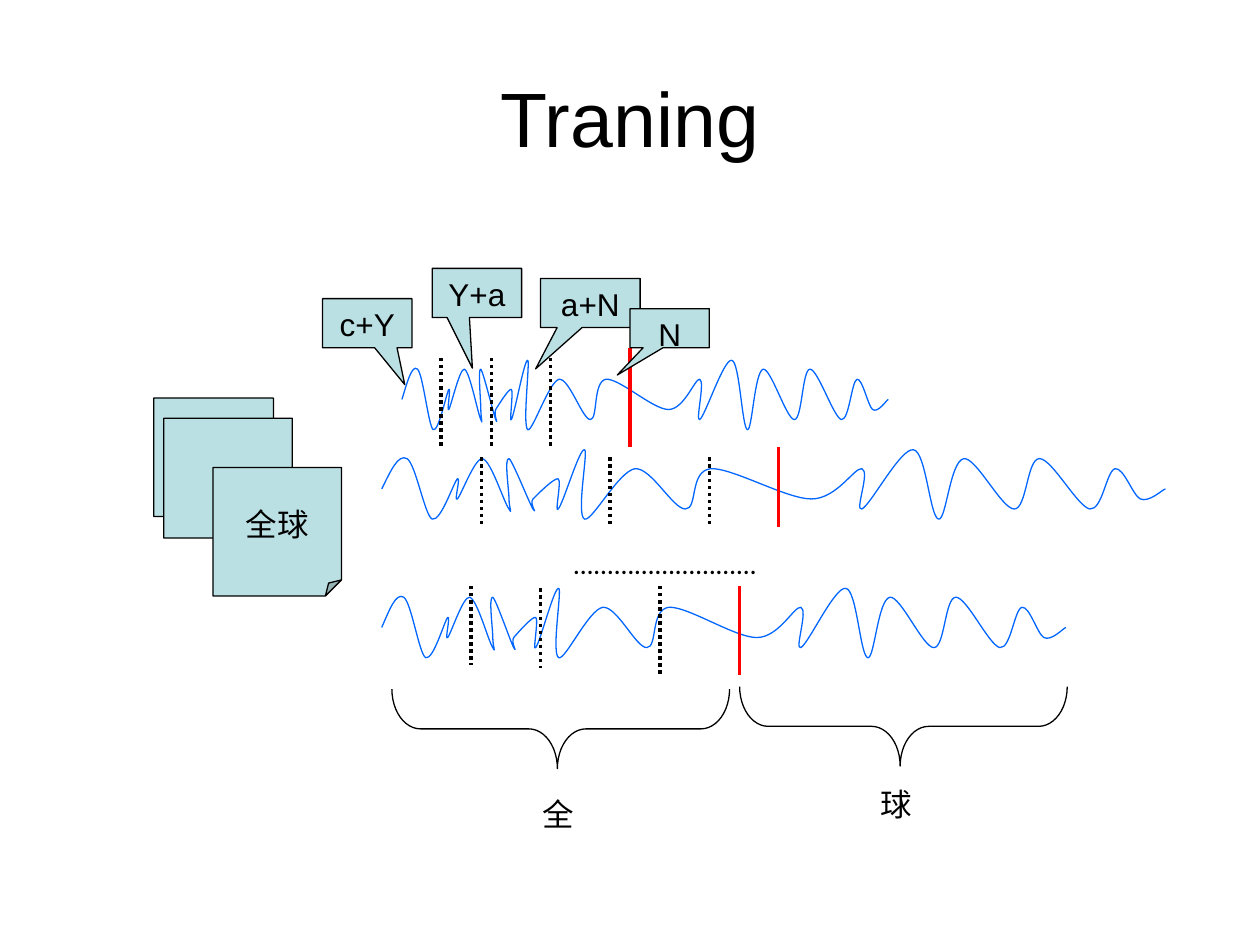
from lxml import etree
from pptx import Presentation
from pptx import util as u
from pptx.dml.color import RGBColor
from pptx.enum import dml, shapes, text
from pptx.oxml.ns import qn

BLACK, RED, BLUE, PALE = "000000", "FF0000", "0066FF", "BBE0E3"
WAVE_WIDTH = 6.22
WAVE_START = (0, 0.33)
WAVE_CURVES = [
    (0.07, 0.19, 0.13, 0.05, 0.2, 0.09), (0.27, 0.13, 0.34, 0.54, 0.4, 0.57),
    (0.47, 0.59, 0.57, 0.28, 0.6, 0.25), (0.63, 0.23, 0.57, 0.44, 0.6, 0.41),
    (0.63, 0.38, 0.74, 0.08, 0.8, 0.09), (0.87, 0.11, 0.97, 0.44, 1.01, 0.49),
    (1.04, 0.54, 1.01, 0.48, 1.01, 0.41), (1.01, 0.34, 0.97, 0.08, 1.01, 0.09),
    (1.04, 0.11, 1.17, 0.44, 1.2, 0.49), (1.24, 0.54, 1.17, 0.45, 1.2, 0.41),
    (1.24, 0.37, 1.37, 0.24, 1.4, 0.25), (1.43, 0.26, 1.37, 0.53, 1.4, 0.49),
    (1.44, 0.45, 1.57, 0, 1.61, 0.02), (1.64, 0.03, 1.54, 0.54, 1.61, 0.57),
    (1.67, 0.59, 1.88, 0.19, 2.01, 0.17), (2.14, 0.16, 2.31, 0.49, 2.41, 0.49),
    (2.51, 0.49, 2.44, 0.19, 2.61, 0.17), (2.78, 0.16, 3.21, 0.41, 3.41, 0.41),
    (3.61, 0.41, 3.75, 0.16, 3.81, 0.17), (3.88, 0.19, 3.75, 0.51, 3.81, 0.49),
    (3.88, 0.46, 4.12, 0, 4.22, 0.02), (4.32, 0.03, 4.35, 0.56, 4.42, 0.57),
    (4.48, 0.58, 4.51, 0.11, 4.62, 0.09), (4.72, 0.08, 4.92, 0.49, 5.02, 0.49),
    (5.12, 0.49, 5.12, 0.09, 5.22, 0.09), (5.32, 0.09, 5.52, 0.47, 5.62, 0.49),
    (5.72, 0.5, 5.75, 0.19, 5.82, 0.17), (5.89, 0.16, 5.96, 0.38, 6.02, 0.41),
    (6.09, 0.44, 6.19, 0.34, 6.22, 0.33),
]


def color(hex_value):
    """Turn a hex string into a colour."""
    return RGBColor.from_string(hex_value)


def write(frame, words, size=18, font="Arial", align=text.PP_ALIGN.CENTER,
          anchor=text.MSO_ANCHOR.TOP, wrap=True):
    """Put one run of text into a text frame."""
    frame.word_wrap = wrap
    frame.vertical_anchor = anchor
    paragraph = frame.paragraphs[0]
    paragraph.alignment = align
    run = paragraph.add_run()
    run.text = words
    run.font.size = u.Pt(size)
    run.font.name = font
    run.font.color.rgb = color(BLACK)


def add_label(slide, box, words, **style):
    """Add a text box with one line of text."""
    label = slide.shapes.add_textbox(*map(u.Inches, box))
    write(label.text_frame, words, **style)


def paint(shape, line, fill=None):
    """Give a shape its thin outline and its fill, if any."""
    shape.shadow.inherit = False
    if fill:
        shape.fill.solid()
        shape.fill.fore_color.rgb = color(fill)
    else:
        shape.fill.background()
    shape.line.color.rgb = color(line)
    shape.line.width = u.Pt(0.75)


def add_preset(slide, kind, box, adjustments=(), fill=None):
    """Add a preset shape with a black outline."""
    shape = slide.shapes.add_shape(kind, *map(u.Inches, box))
    for index, value in enumerate(adjustments):
        shape.adjustments[index] = value
    paint(shape, BLACK, fill)
    return shape


def add_card(slide, box):
    """Add a word card with a small folded corner."""
    card = add_preset(slide, shapes.MSO_SHAPE.FOLDED_CORNER, box, fill=PALE)
    guides = next(card._element.iter(qn("a:avLst")))
    etree.SubElement(guides, qn("a:gd"), name="adj", fmla="val 12500")
    return card


def add_wave(slide, left, top, width):
    """Draw the speech wave stretched to a width."""
    def place(x, y):
        return u.Inches(left + x * width / WAVE_WIDTH), u.Inches(top + y)

    builder = slide.shapes.build_freeform(*place(*WAVE_START))
    builder.add_line_segments(
        [place(*curve[i:i + 2]) for curve in WAVE_CURVES for i in (0, 2, 4)],
        close=False)
    wave = builder.convert_to_shape()
    outline = next(wave._element.iter(qn("a:path")))
    segments = outline.findall(qn("a:lnTo"))
    for start in range(0, len(segments), 3):
        bezier = etree.SubElement(outline, qn("a:cubicBezTo"))
        for segment in segments[start:start + 3]:
            bezier.append(segment[0])
            outline.remove(segment)
    paint(wave, BLUE)


def add_boundary(slide, x, top, bottom, hex_value, dash=None):
    """Draw an upright line between two sounds."""
    boundary = slide.shapes.add_connector(
        shapes.MSO_CONNECTOR.STRAIGHT, *map(u.Inches, (x, top, x, bottom)))
    boundary.line.color.rgb = color(hex_value)
    boundary.line.width = u.Pt(2)
    if dash:
        boundary.line.dash_style = dash
    etree.SubElement(boundary._element.spPr, qn("a:effectLst"))


def add_brace(slide, left, top, width, height):
    """Draw a brace that opens upwards and points down."""
    box = (left + (width - height) / 2, top + (height - width) / 2, height, width)
    brace = add_preset(slide, shapes.MSO_SHAPE.RIGHT_BRACE, box, (0.36, 0.51))
    brace.rotation = 90


def main():
    """Build the training slide."""
    deck = Presentation()
    deck.slide_width, deck.slide_height = u.Inches(10), u.Inches(7.5)
    slide = deck.slides.add_slide(deck.slide_layouts[6])
    middle, left = text.MSO_ANCHOR.MIDDLE, text.PP_ALIGN.LEFT

    add_label(slide, (0.5, 0.3, 9, 1.25), "Traning", size=44, anchor=middle)

    add_card(slide, (1.22, 3.16, 0.95, 0.94))
    add_card(slide, (1.3, 3.32, 1.02, 0.95))
    front_card = add_card(slide, (1.69, 3.71, 1.02, 1.02))
    write(front_card.text_frame, "全球", anchor=middle, wrap=False)

    for wave in ((3.19, 2.84, 3.86), (3.03, 3.55, WAVE_WIDTH), (3.03, 4.65, 5.43)):
        add_wave(slide, *wave)
    add_label(slide, (4.45, 4.26, 2.6, 0.4), "………………………",
              font="Montserrat", align=left)

    for word_end in ((5, 2.76, 3.55), (6.18, 3.55, 4.18), (5.87, 4.65, 5.36)):
        add_boundary(slide, *word_end, RED)
    for sound_end in ((3.5, 2.84, 3.55), (3.9, 2.84, 3.55), (4.37, 2.84, 3.55),
                      (3.82, 3.63, 4.18), (4.84, 3.63, 4.18), (5.63, 3.63, 4.18),
                      (3.74, 4.65, 5.28), (4.29, 4.67, 5.3), (5.24, 4.65, 5.36)):
        add_boundary(slide, *sound_end, BLACK, dash=dml.MSO_LINE.ROUND_DOT)

    add_label(slide, (4.21, 6.26, 1.1, 0.4), "全", align=left)
    add_label(slide, (6.89, 6.18, 1.1, 0.4), "球", align=left)

    for sound, box, tip in (
            ("c+Y", (2.56, 2.37, 0.71, 0.39), (0.42, 1.25)),
            ("Y+a", (3.43, 2.13, 0.71, 0.39), (-0.05, 1.53)),
            ("a+N", (4.29, 2.21, 0.79, 0.39), (-0.55, 1.34)),
            ("N", (5, 2.45, 0.63, 0.31), (-0.66, 1.2))):
        callout = add_preset(
            slide, shapes.MSO_SHAPE.RECTANGULAR_CALLOUT, box, tip, PALE)
        write(callout.text_frame, sound)

    add_brace(slide, 3.11, 5.47, 2.68, 0.63)
    add_brace(slide, 5.87, 5.45, 2.6, 0.63)
    deck.save("out.pptx")


if __name__ == "__main__":
    main()
